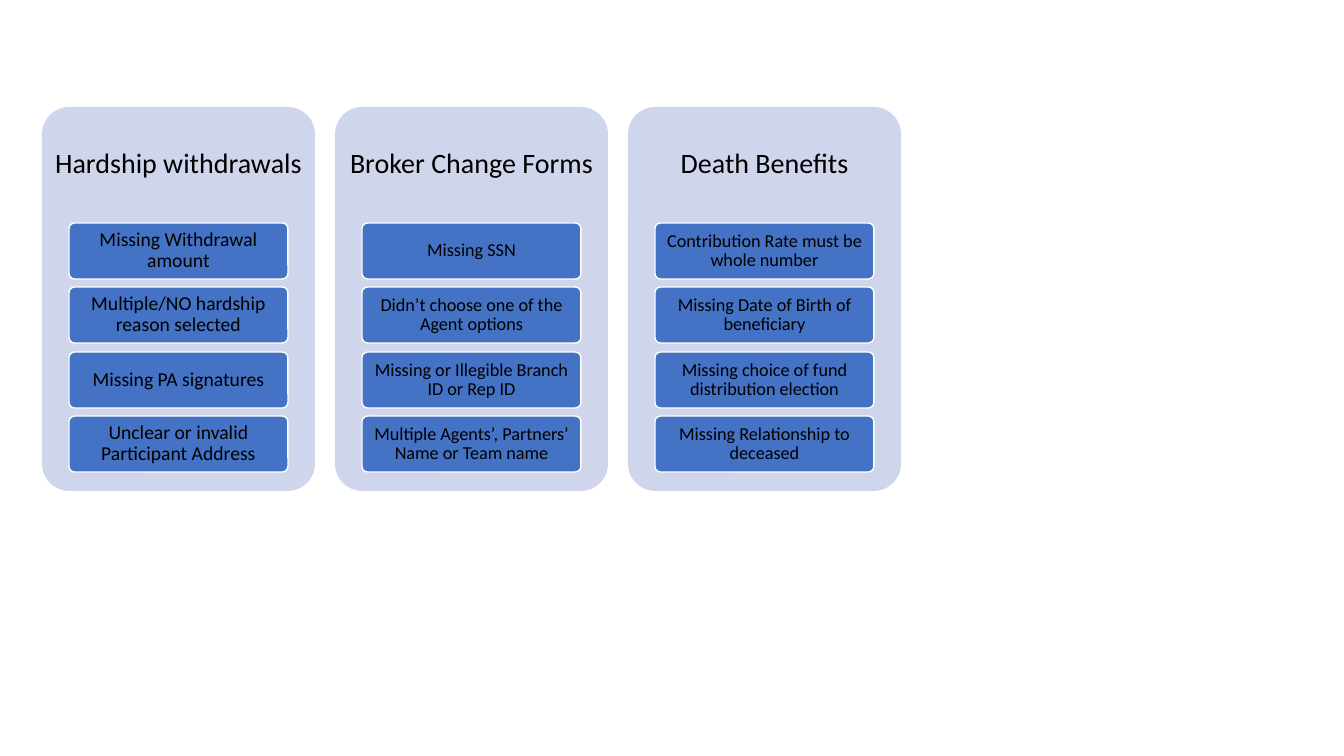
from dataclasses import dataclass

from pptx import Presentation
from pptx.dml.color import RGBColor
from pptx.enum.shapes import MSO_SHAPE
from pptx.enum.text import MSO_ANCHOR, PP_ALIGN
from pptx.util import Emu, Pt

ROUNDED = MSO_SHAPE.ROUNDED_RECTANGLE
MIDDLE = MSO_ANCHOR.MIDDLE
CENTER = PP_ALIGN.CENTER
EMU_PER_PX = 914400 / 100.8

SLIDE_SIZE = (1344, 756)
CARD_LEFT, CARD_TOP, CARD_WIDTH, CARD_HEIGHT = 42, 107, 273, 384
CARD_PITCH = 293
HEADING_HEIGHT = 115
ISSUE_INDENT, ISSUE_HEIGHT = 27, 56
ISSUE_TOP, ISSUE_BOTTOM = 223, 472

FORMS = [
    ("Hardship withdrawals", 14, [
        "Missing Withdrawal amount",
        "Multiple/NO hardship reason selected",
        "Missing PA signatures",
        "Unclear or invalid Participant Address",
    ]),
    ("Broker Change Forms", 13, [
        "Missing SSN",
        "Didn’t choose one of the Agent options",
        "Missing or Illegible Branch ID or Rep ID",
        "Multiple Agents’, Partners’ Name or Team name",
    ]),
    ("Death Benefits", 13, [
        "Contribution Rate must be whole number",
        "Missing Date of Birth of beneficiary",
        "Missing choice of fund distribution election",
        "Missing Relationship to deceased",
    ]),
]


def px(length):
    """Turn pixels into EMU."""
    return Emu(round(length * EMU_PER_PX))


@dataclass(frozen=True)
class Theme:
    """Colours, font and type sizes of the slide."""
    card: RGBColor = RGBColor(0xCF, 0xD5, 0xEA)
    issue: RGBColor = RGBColor(0x44, 0x72, 0xC4)
    outline: RGBColor = RGBColor(0xFF, 0xFF, 0xFF)
    text: RGBColor = RGBColor(0, 0, 0)
    font: str = "Calibri"
    heading_size: int = 20


class Painter:
    """Draws the elements of the current slide in one style."""

    def __init__(self, page, theme):
        """Keep the slide and its style."""
        self.page = page
        self.theme = theme

    def panel(self, left, top, width, height, fill):
        """Add a rounded panel without an outline."""
        box = self.page.shapes.add_shape(ROUNDED, px(left), px(top), px(width), px(height))
        box.adjustments[0] = 0.1
        box.shadow.inherit = False
        box.fill.solid()
        box.fill.fore_color.rgb = fill
        box.line.fill.background()
        return box

    def label(self, box, text, size, inset_x, inset_y):
        """Set centred text in a box."""
        frame = box.text_frame
        frame.word_wrap = True
        frame.vertical_anchor = MIDDLE
        frame.margin_left = frame.margin_right = px(inset_x)
        frame.margin_top = frame.margin_bottom = px(inset_y)
        frame.text = text
        para = frame.paragraphs[0]
        para.alignment = CENTER
        para.line_spacing = 0.9
        font = para.runs[0].font
        font.name = self.theme.font
        font.size = Pt(size)
        font.color.rgb = self.theme.text

    def heading(self, left, top, width, height, text):
        """Add the heading of a card."""
        box = self.page.shapes.add_textbox(px(left), px(top), px(width), px(height))
        self.label(box, text, self.theme.heading_size, 8, 8)

    def issue(self, left, top, width, height, text, size):
        """Add an outlined box that names one issue."""
        box = self.panel(left, top, width, height, self.theme.issue)
        box.line.color.rgb = self.theme.outline
        box.line.width = Pt(1)
        self.label(box, text, size, 6, 5)

    def card(self, left, title, size, issues):
        """Add a card with its heading and evenly spaced issues."""
        self.panel(left, CARD_TOP, CARD_WIDTH, CARD_HEIGHT, self.theme.card)
        self.heading(left, CARD_TOP, CARD_WIDTH, HEADING_HEIGHT, title)
        pitch = (ISSUE_BOTTOM - ISSUE_HEIGHT - ISSUE_TOP) / (len(issues) - 1)
        for row, text in enumerate(issues):
            self.issue(left + ISSUE_INDENT, round(ISSUE_TOP + row * pitch),
                       CARD_WIDTH - 2 * ISSUE_INDENT, ISSUE_HEIGHT, text, size)


def main():
    """Build the slide and save it."""
    deck = Presentation()
    deck.slide_width, deck.slide_height = map(px, SLIDE_SIZE)
    page = deck.slides.add_slide(deck.slide_layouts[6])
    painter = Painter(page, Theme())
    for column, (title, size, issues) in enumerate(FORMS):
        painter.card(CARD_LEFT + column * CARD_PITCH, title, size, issues)
    deck.save("out.pptx")


if __name__ == "__main__":
    main()
